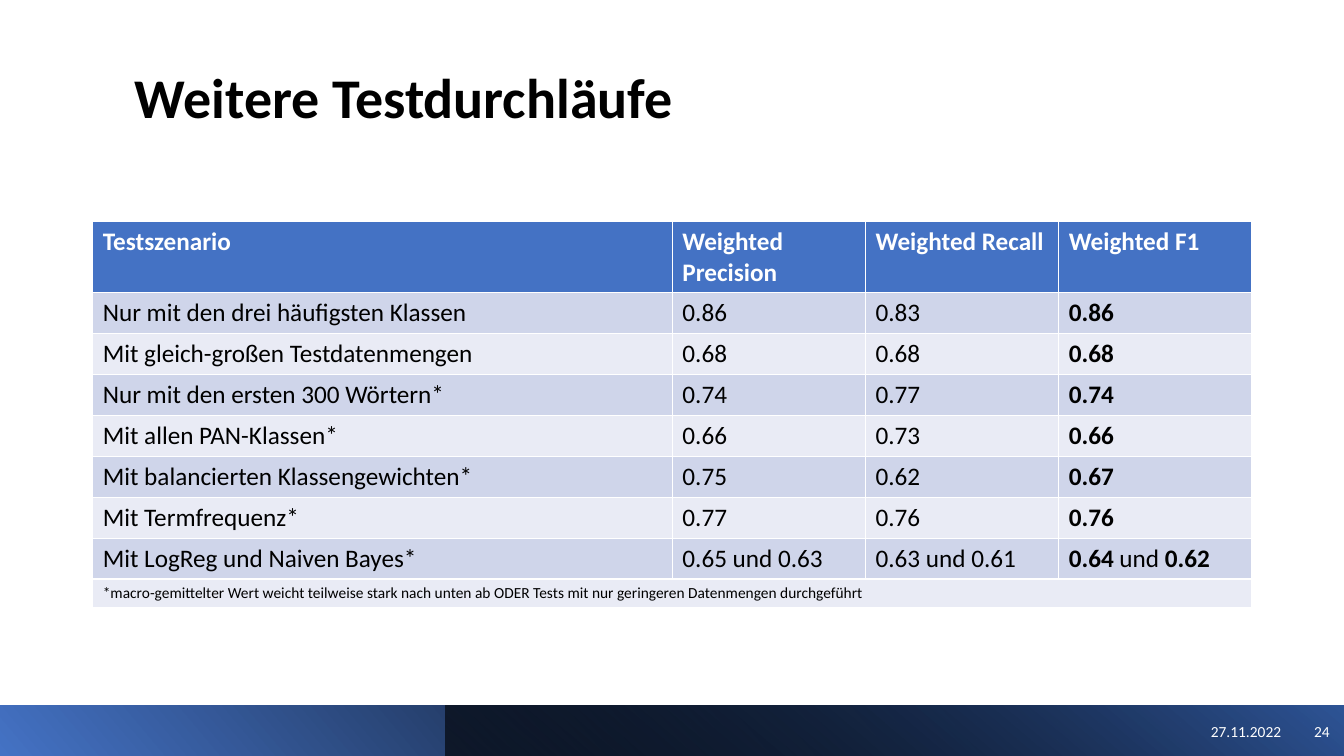
from lxml.etree import SubElement
from pptx import Presentation
from pptx.dml.color import RGBColor
from pptx.enum.shapes import MSO_SHAPE as SHAPE
from pptx.enum.text import MSO_ANCHOR as ANCHOR, PP_ALIGN as ALIGN
from pptx.oxml.ns import qn
from pptx.util import Pt

TITLE = "Weitere Testdurchläufe"
DATE = "27.11.2022"
PAGE = "24"
HEADER = ["Testszenario", "Weighted Precision", "Weighted Recall", "Weighted F1"]
SCENARIOS = [
    ["Nur mit den drei häufigsten Klassen", "0.86", "0.83", "0.86"],
    ["Mit gleich-großen Testdatenmengen", "0.68", "0.68", "0.68"],
    ["Nur mit den ersten 300 Wörtern*", "0.74", "0.77", "0.74"],
    ["Mit allen PAN-Klassen*", "0.66", "0.73", "0.66"],
    ["Mit balancierten Klassengewichten*", "0.75", "0.62", "0.67"],
    ["Mit Termfrequenz*", "0.77", "0.76", "0.76"],
    ["Mit LogReg und Naiven Bayes*", "0.65 und 0.63", "0.63 und 0.61", "0.64 und 0.62"],
]
FOOTNOTE = ("*macro-gemittelter Wert weicht teilweise stark nach unten ab "
            "ODER Tests mit nur geringeren Datenmengen durchgeführt")
JOINER = " und "

FONT = "Calibri"
COLORS = {"black": "000000", "white": "FFFFFF", "blue": "4472C4", "navy": "2F5597",
          "odd": "CFD5EA", "even": "E9EBF5"}
WIDTH, HEIGHT = 960, 540
BAR_HEIGHT = 36
BAR_TOP = HEIGHT - BAR_HEIGHT
OVERLAY_LEFT = 318
TABLE_LEFT, TABLE_TOP = 66.25, 158.4
SCENARIO_WIDTH, SCORE_WIDTH = 414, 138
HEADER_HEIGHT, ROW_HEIGHT, FOOTNOTE_HEIGHT = 50.8, 29.2, 20.6


def color(name):
    return RGBColor.from_string(COLORS[name])


def style(paragraph, size, color_name, bold=False):
    font = paragraph.font
    font.name, font.size, font.bold = FONT, Pt(size), bold
    font.color.rgb = color(color_name)


def add_text(slide, text, box, size, color_name, anchor, bold=False):
    frame = slide.shapes.add_textbox(*map(Pt, box)).text_frame
    frame.word_wrap = True
    frame.vertical_anchor = anchor
    paragraph = frame.paragraphs[0]
    paragraph.text = text
    style(paragraph, size, color_name, bold)
    return paragraph


def add_bar(slide, left, stops, angle, rotation=0):
    bar = slide.shapes.add_shape(SHAPE.RECTANGLE, Pt(left), Pt(BAR_TOP),
                                 Pt(WIDTH - left), Pt(BAR_HEIGHT))
    bar.shadow.inherit = False
    bar.line.fill.background()
    bar.rotation = rotation
    bar._element.spPr.find(qn("a:xfrm")).set("flipH", "1")
    bar.fill.gradient()
    bar.fill.gradient_angle = 360 - angle
    for stop, (position, name) in zip(bar.fill.gradient_stops, stops):
        stop.position = position
        stop.color.rgb = color(name)
    return bar


def fill_cell(cell, text, fill, size=18, color_name="black", bold=False):
    cell.fill.solid()
    cell.fill.fore_color.rgb = color(fill)
    paragraph = cell.text_frame.paragraphs[0]
    paragraph.text = text
    style(paragraph, size, color_name, bold)
    return paragraph


def add_scores(slide):
    heights = [HEADER_HEIGHT] + [ROW_HEIGHT] * len(SCENARIOS) + [FOOTNOTE_HEIGHT]
    widths = [SCENARIO_WIDTH] + [SCORE_WIDTH] * (len(HEADER) - 1)
    table = slide.shapes.add_table(len(heights), len(widths), Pt(TABLE_LEFT), Pt(TABLE_TOP),
                                   Pt(sum(widths)), Pt(sum(heights))).table
    for row, height in zip(table.rows, heights):
        row.height = Pt(height)
    for column, width in zip(table.columns, widths):
        column.width = Pt(width)

    for c, heading in enumerate(HEADER):
        fill_cell(table.cell(0, c), heading, "blue", color_name="white", bold=True)
    for r, scenario in enumerate(SCENARIOS, 1):
        for c, text in enumerate(scenario):
            is_f1 = c == len(HEADER) - 1
            paragraph = fill_cell(table.cell(r, c), text, "odd" if r % 2 else "even", bold=is_f1)
            if is_f1 and JOINER in text:
                first, second = text.split(JOINER)
                paragraph.text = first
                joiner = paragraph.add_run()
                joiner.text = JOINER
                joiner.font.bold = False
                paragraph.add_run().text = second

    last = len(heights) - 1
    footnote = table.cell(last, 0)
    footnote.merge(table.cell(last, len(HEADER) - 1))
    fill_cell(footnote, FOOTNOTE, "even", size=11)


def main():
    deck = Presentation()
    deck.slide_width, deck.slide_height = Pt(WIDTH), Pt(HEIGHT)
    slide = deck.slides.add_slide(deck.slide_layouts[6])

    title = add_text(slide, TITLE, (89.3, 39.6, 763, 56.9), 40, "black", ANCHOR.BOTTOM, True)
    title.line_spacing = 0.9
    add_scores(slide)

    add_bar(slide, 0, [(0, "blue"), (0.78, "black")], 40, rotation=180)
    overlay = add_bar(slide, OVERLAY_LEFT, [(0, "black"), (1, "navy")], 230)
    dark = next(overlay._element.spPr.iter(qn("a:srgbClr")))
    SubElement(dark, qn("a:alpha")).set("val", "63000")

    for text, left, width in [(DATE, 706.3, 216), (PAGE, 921.6, 35.3)]:
        footer = add_text(slide, text, (left, 508.3, width, 28.8), 11, "white", ANCHOR.MIDDLE)
        footer.alignment = ALIGN.RIGHT
        footer.space_after = Pt(6)

    deck.save("out.pptx")


if __name__ == "__main__":
    main()
